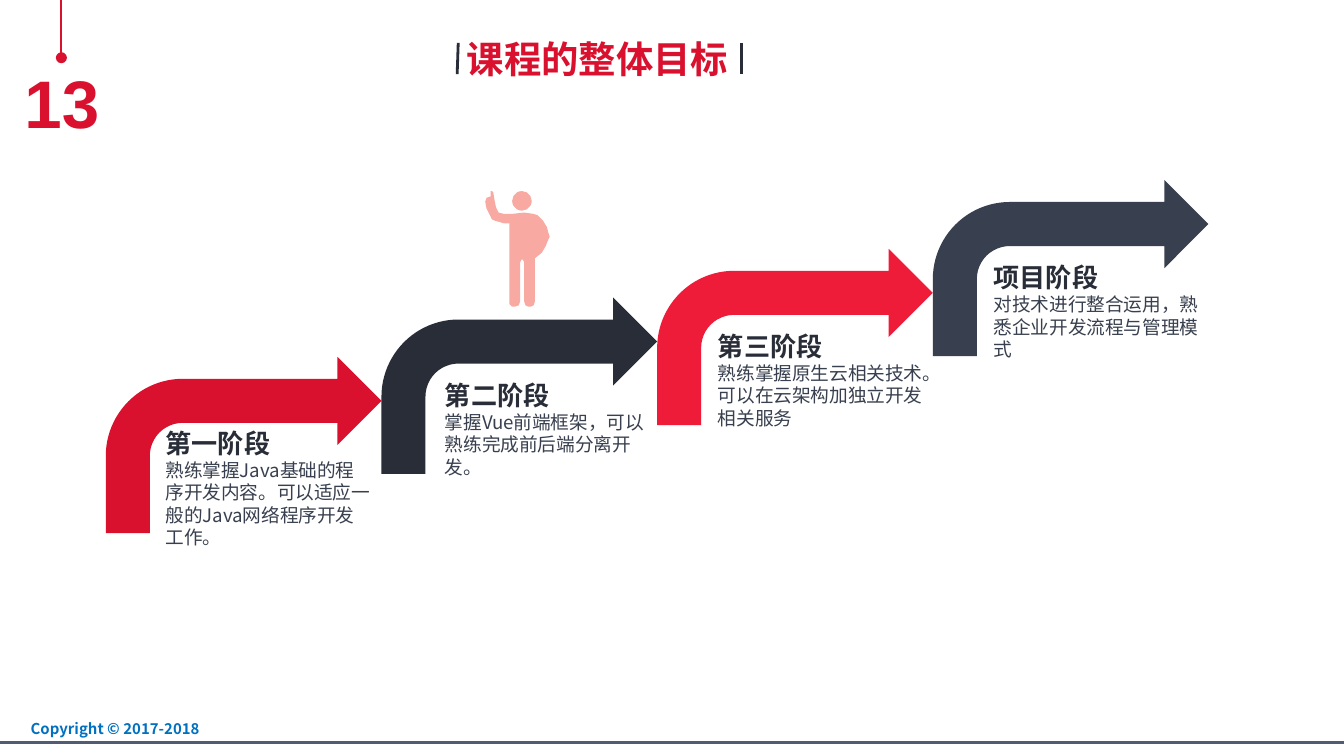
from dataclasses import dataclass

from lxml.etree import SubElement
from pptx import Presentation
from pptx.dml.color import RGBColor
from pptx.enum.shapes import MSO_CONNECTOR, MSO_SHAPE
from pptx.enum.text import MSO_ANCHOR, PP_ALIGN
from pptx.oxml.ns import qn
from pptx.util import Cm, Pt


@dataclass(frozen=True)
class Theme:
    red: str = "D9112E"
    bright_red: str = "EE1C39"
    dark: str = "282D38"
    slate: str = "383F4E"
    pink: str = "F8AAA2"
    blue: str = "0070C0"
    rule: str = "515C73"
    cjk: str = "Noto Sans CJK SC"
    latin: str = "Arial"
    number_size: int = 36
    title_size: int = 20
    heading_size: int = 14
    body_size: int = 10
    footer_size: int = 8


THEME = Theme()

TITLE = "课程的整体目标"
PAGE_NUMBER = "13"
COPYRIGHT = "Copyright © 2017-2018"

# heading, goal, arrow colour, arrow top (cm), gap from arrow left to text (cm)
STAGES = [
    ("第一阶段", "熟练掌握Java基础的程序开发内容。可以适应一般的Java网络程序开发工作。",
     THEME.red, 6.74, 0.95),
    ("第二阶段", "掌握Vue前端框架，可以熟练完成前后端分离开发。",
     THEME.dark, 5.62, 1.02),
    ("第三阶段", "熟练掌握原生云相关技术。可以在云架构加独立开发相关服务",
     THEME.bright_red, 4.70, 0.97),
    ("项目阶段", "对技术进行整合运用，熟悉企业开发流程与管理模式",
     THEME.slate, 3.40, 0.97),
]
FIRST_ARROW_LEFT = 2.0
ARROW_WIDTH, ARROW_HEIGHT = 5.21, 3.33
GOAL_DROP, GOAL_HEIGHT = 1.61, 1.73

# Outline of the pointing figure's body, in hundredths of its unit
FIGURE_LEFT, FIGURE_TOP, FIGURE_UNIT = 9.17, 3.61, 2.54
FIGURE_BODY = [
    (46, 27), (43, 22), (39, 18), (36, 17), (29, 16), (20, 17), (14, 17),
    (10, 16), (8, 12), (7, 7), (6, 1), (5, 0), (4, 0), (4, 4), (1, 5),
    (0, 8), (1, 13), (3, 17), (5, 21), (7, 22), (14, 24), (18, 24),
    (18, 82), (18, 84), (20, 86), (22, 86), (25, 85), (26, 82), (26, 53),
    (27, 51), (28, 51), (29, 53), (29, 82), (30, 85), (32, 86), (34, 86),
    (36, 85), (37, 82), (37, 50), (42, 46), (45, 41), (47, 36), (48, 34),
    (47, 31),
]


def rgb(colour):
    return RGBColor.from_string(colour)


def paint(shape, colour):
    shape.shadow.inherit = False
    shape.fill.solid()
    shape.fill.fore_color.rgb = rgb(colour)
    shape.line.fill.background()


def add_line(slide, start, end, colour, width, oval_start=False):
    line = slide.shapes.add_connector(
        MSO_CONNECTOR.STRAIGHT, *map(Cm, start), *map(Cm, end))
    line.line.color.rgb = rgb(colour)
    line.line.width = Pt(width)
    if oval_start:
        SubElement(line.line._get_or_add_ln(), qn("a:headEnd"), type="oval")
    SubElement(line._element.spPr, qn("a:effectLst"))


def add_text(slide, box, paragraphs, font, align=PP_ALIGN.LEFT,
             anchor=MSO_ANCHOR.TOP, wrap=True, inset=(0.18, 0.1)):
    """Write one paragraph per (text, size, colour, bold) entry."""
    frame = slide.shapes.add_textbox(*map(Cm, box)).text_frame
    frame.word_wrap = wrap
    frame.vertical_anchor = anchor
    frame.margin_left = frame.margin_right = Cm(inset[0])
    frame.margin_top = frame.margin_bottom = Cm(inset[1])
    for index, (text, size, colour, bold) in enumerate(paragraphs):
        paragraph = frame.add_paragraph() if index else frame.paragraphs[0]
        paragraph.alignment = align
        run = paragraph.add_run()
        run.text = text
        run.font.size = Pt(size)
        run.font.bold = bold
        run.font.color.rgb = rgb(colour)
        run.font.name = font
        SubElement(run.font._element, qn("a:ea"), typeface=font)


def add_stage(slide, index, stage):
    heading, goal, colour, top, gap = stage
    left = FIRST_ARROW_LEFT + index * ARROW_WIDTH
    arrow = slide.shapes.add_shape(
        MSO_SHAPE.BENT_ARROW, Cm(left), Cm(top), Cm(ARROW_WIDTH), Cm(ARROW_HEIGHT))
    paint(arrow, colour)
    add_text(slide, (left + gap, top + GOAL_DROP, ARROW_WIDTH - gap, GOAL_HEIGHT),
             [(heading, THEME.heading_size, THEME.dark, True),
              (goal, THEME.body_size, THEME.slate, False)],
             THEME.cjk, anchor=MSO_ANCHOR.MIDDLE)


def add_figure(slide):
    figure = slide.shapes.add_group_shape()
    head = figure.shapes.add_shape(
        MSO_SHAPE.OVAL, Cm(FIGURE_LEFT + 0.51), Cm(FIGURE_TOP), Cm(0.37), Cm(0.37))
    outline = figure.shapes.build_freeform(
        *FIGURE_BODY[0], scale=Cm(FIGURE_UNIT) / 100)
    outline.add_line_segments(FIGURE_BODY[1:], close=True)
    body = outline.convert_to_shape(Cm(FIGURE_LEFT), Cm(FIGURE_TOP))
    for part in (head, body):
        paint(part, THEME.pink)


def main():
    deck = Presentation()
    deck.slide_width, deck.slide_height = Cm(25.4), Cm(14.28)
    slide = deck.slides.add_slide(deck.slide_layouts[6])

    add_line(slide, (-0.05, 14.02), (25.4, 14.02), THEME.rule, 1.5)
    add_text(slide, (0.18, 13.49, 3.78, 0.53),
             [(COPYRIGHT, THEME.footer_size, THEME.blue, True)],
             THEME.cjk, align=PP_ALIGN.RIGHT, wrap=False)

    for index, stage in enumerate(STAGES):
        add_stage(slide, index, stage)
    add_figure(slide)

    add_text(slide, (0.46, 1.15, 1.42, 1.55),
             [(PAGE_NUMBER, THEME.number_size, THEME.red, True)],
             THEME.latin, align=PP_ALIGN.CENTER, anchor=MSO_ANCHOR.MIDDLE,
             wrap=False, inset=(0, 0))
    add_line(slide, (1.16, 1.09), (1.16, 0), THEME.red, 1, oval_start=True)

    add_text(slide, (8.64, 0.58, 5.36, 1.04),
             [(TITLE, THEME.title_size, THEME.red, True)], THEME.cjk)
    for top_x, bottom_x in ((8.66, 8.64), (14.02, 14.02)):
        add_line(slide, (top_x, 0.81), (bottom_x, 1.4), THEME.dark, 1.5)

    deck.save("out.pptx")


if __name__ == "__main__":
    main()
